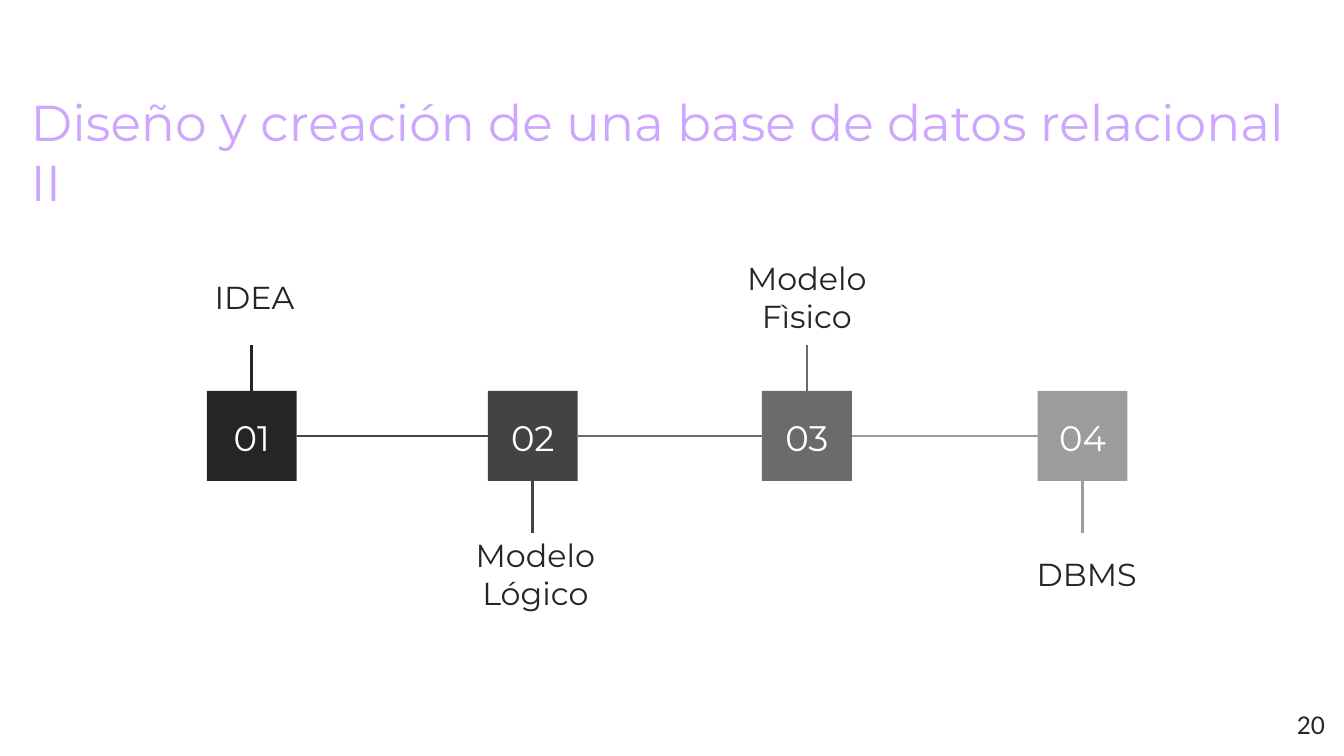
from dataclasses import dataclass

from lxml.etree import SubElement
from pptx import Presentation
from pptx.dml.color import RGBColor as Rgb
from pptx.enum.shapes import MSO_CONNECTOR as Connector, MSO_SHAPE as Shape
from pptx.enum.text import MSO_ANCHOR as Anchor, MSO_AUTO_SIZE as AutoSize, PP_ALIGN as Align
from pptx.oxml.ns import qn
from pptx.util import Cm, Pt


@dataclass(frozen=True)
class Theme:
    heading_font: str = "Montserrat"
    page_font: str = "Lato"
    lilac: str = "CEA6FF"
    ink: str = "252525"
    white: str = "FFFFFF"
    title_size: int = 27
    number_size: int = 19
    label_size: int = 17
    page_size: int = 13
    line_width: float = 1.5
    inset: float = 0.25


class SlideBuilder:
    def __init__(self, slide, theme):
        self.slide = slide
        self.theme = theme

    def fill_text(self, box, text, size, color, align, anchor=Anchor.MIDDLE, font=None):
        frame = box.text_frame
        frame.word_wrap = True
        frame.auto_size = AutoSize.NONE
        frame.vertical_anchor = anchor
        frame.margin_left = frame.margin_right = Cm(self.theme.inset)
        frame.margin_top = frame.margin_bottom = Cm(self.theme.inset)
        para = frame.paragraphs[0]
        para.text = text
        para.alignment = align
        para.font.name = font or self.theme.heading_font
        para.font.size = Pt(size)
        para.font.color.rgb = Rgb.from_string(color)

    def title(self, text, left, top, width, height):
        box = self.slide.shapes.title
        box.left, box.top, box.width, box.height = map(Cm, (left, top, width, height))
        self.fill_text(box, text, self.theme.title_size, self.theme.lilac, Align.LEFT, Anchor.TOP)

    def text(self, text, left, top, width, height, size, color, align=Align.CENTER, **style):
        box = self.slide.shapes.add_textbox(*map(Cm, (left, top, width, height)))
        self.fill_text(box, text, size, color, align, **style)

    def square(self, left, top, side, color):
        box = self.slide.shapes.add_shape(Shape.RECTANGLE, *map(Cm, (left, top, side, side)))
        box.shadow.inherit = False
        box.fill.solid()
        box.fill.fore_color.rgb = Rgb.from_string(color)
        box.line.fill.background()

    def line(self, x1, y1, x2, y2, color):
        line = self.slide.shapes.add_connector(Connector.STRAIGHT, *map(Cm, (x1, y1, x2, y2)))
        line.line.color.rgb = Rgb.from_string(color)
        line.line.width = Pt(self.theme.line_width)
        SubElement(line._element.spPr, qn("a:effectLst"))


# Steps: label, square left, label left, square colour, link colour
STEPS = [
    ("IDEA", 3.91, 2.84, "252525", "434343"),
    ("Modelo Lógico", 9.22, 8.15, "434343", "6B6B6B"),
    ("Modelo Fìsico", 14.4, 13.28, "6B6B6B", "9C9C9C"),
    ("DBMS", 19.61, 18.57, "9C9C9C", None),
]
SIDE, SQUARE_TOP = 1.7, 7.39
MIDDLE, SQUARE_BOTTOM = SQUARE_TOP + SIDE / 2, SQUARE_TOP + SIDE
STEM_TOP, STEM_BOTTOM = 6.53, 10.08
LABEL_ABOVE, LABEL_BELOW = 5.12, 10.36
LABEL_WIDTH, LABEL_HEIGHT = 3.94, 0.97
NUMBER_TOP, NUMBER_WIDTH, NUMBER_HEIGHT = 7.68, 1.52, 1.19


def main():
    deck = Presentation()
    deck.slide_width, deck.slide_height = Cm(25.4), Cm(14.29)
    theme = Theme()
    page = SlideBuilder(deck.slides.add_slide(deck.slide_layouts[5]), theme)

    page.title("Diseño y creación de una base de datos relacional II", 0.33, 1.47, 24.97, 1.47)

    # Links between neighbouring squares
    for step, following in zip(STEPS, STEPS[1:]):
        page.line(step[1] + SIDE, MIDDLE, following[1], MIDDLE, step[4])

    # Numbered squares, with labels alternating above and below
    for index, (label, left, label_left, color, _) in enumerate(STEPS):
        center = left + SIDE / 2
        if index % 2 == 0:
            label_top, stem_start, stem_end = LABEL_ABOVE, SQUARE_TOP, STEM_TOP
        else:
            label_top, stem_start, stem_end = LABEL_BELOW, SQUARE_BOTTOM, STEM_BOTTOM
        page.line(center, stem_start, center, stem_end, color)
        page.square(left, SQUARE_TOP, SIDE, color)
        page.text(f"{index + 1:02}", center - NUMBER_WIDTH / 2, NUMBER_TOP,
                  NUMBER_WIDTH, NUMBER_HEIGHT, theme.number_size, theme.white)
        page.text(label, label_left, label_top, LABEL_WIDTH, LABEL_HEIGHT,
                  theme.label_size, theme.ink)

    # Page number
    page.text("20", 23.77, 13.18, 1.52, 1.09, theme.page_size, theme.ink,
              Align.RIGHT, anchor=Anchor.TOP, font=theme.page_font)

    deck.save("out.pptx")


if __name__ == "__main__":
    main()
